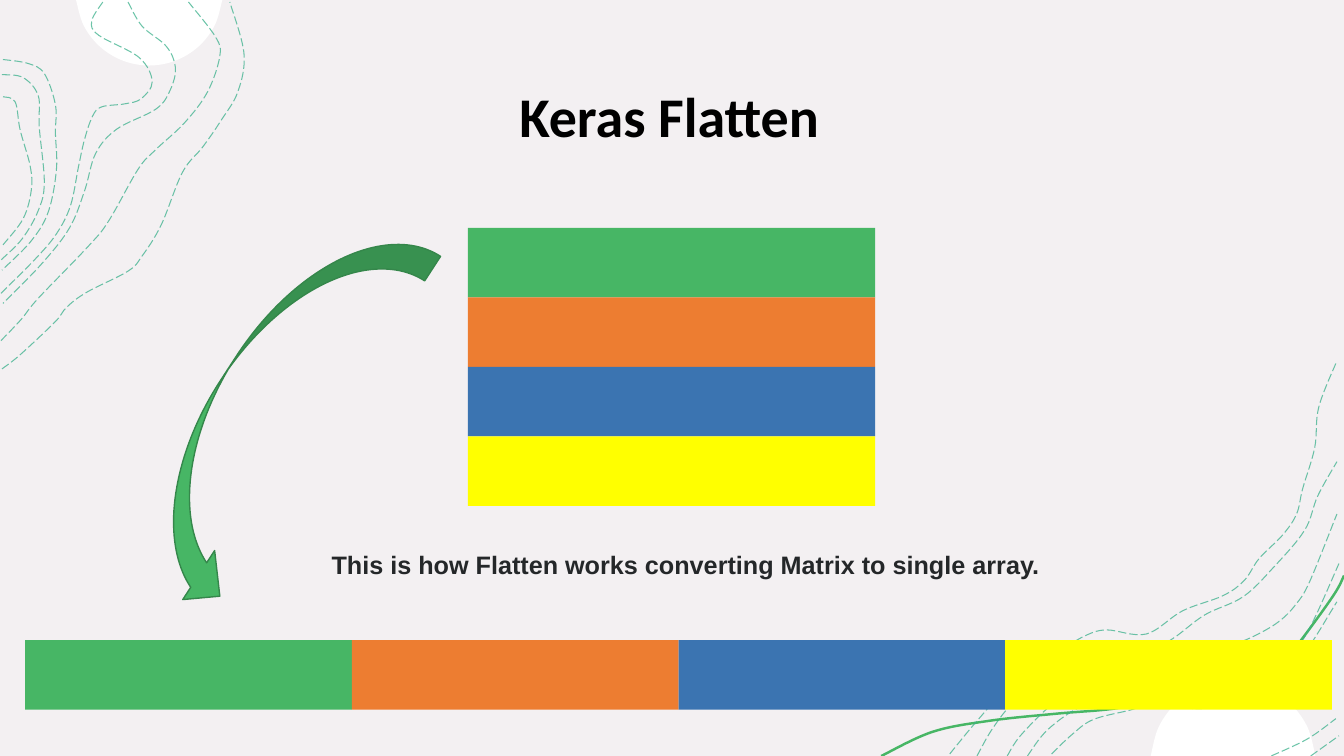
import math
from dataclasses import dataclass

from lxml import etree
from pptx import Presentation
from pptx import util as u
from pptx.dml.color import RGBColor
from pptx.enum import dml, shapes, text
from pptx.oxml.ns import qn

Point = tuple[float, float]
Outline = tuple[Point, ...]

COLORS = {
    "background": "F3F0F2",
    "white": "FFFFFF",
    "contour": "3BB18C",
    "green": "47B665",
    "orange": "ED7D31",
    "blue": "3B74B1",
    "yellow": "FFFF00",
    "arrow_edge": "35874B",
    "title": "000000",
    "caption": "242729",
}
ROWS = ("green", "orange", "blue", "yellow")
ROW_HEIGHT = 0.69
SLIDE_WIDTH, SLIDE_HEIGHT = 13.33, 7.5


@dataclass
class Disc:
    cx: float
    cy: float
    radius: float
    edge: float


@dataclass
class Strip:
    left: float
    top: float
    width: float
    dx: float
    dy: float


@dataclass
class Label:
    text: str
    left: float
    top: float
    width: float
    height: float
    font: str
    size: int
    color: str


DISCS = (Disc(1.48, -0.08, 0.73, 0), Disc(12.23, 7.57, 0.82, SLIDE_HEIGHT))
STRIPS = (
    Strip(4.64, 2.26, 4.04, 0, ROW_HEIGHT),
    Strip(0.25, 6.35, 3.24, 3.24, 0),
)
TITLE = Label("Keras Flatten", 5.05, 0.76, 3.63, 0.77, "Calibri", 40, "title")
CAPTION = Label("This is how Flatten works converting Matrix to single array.",
                3.19, 5.4, 7.45, 0.4, "Arial", 18, "caption")

RIBBON = (
    (8.74, 7.5), (9.25, 7.26), (9.82, 7.15), (10.48, 7.08), (11.05, 7.03), (11.44, 6.94),
    (11.91, 6.84), (12.44, 6.72), (12.72, 6.57), (12.92, 6.33), (13.23, 5.9), (13.33, 5.71),
)
TOP_LEFT_CONTOURS = (
    ((0.02, 3.66), (0.2, 3.52), (0.55, 3.19), (0.66, 3.05), (0.86, 2.9), (1.27, 2.69),
     (1.41, 2.54), (1.6, 2.23), (1.81, 1.71), (2.01, 1.46), (2.19, 1.2), (2.36, 0.91),
     (2.42, 0.53), (2.28, 0.02)),
    ((0.01, 3.38), (0.21, 3.17), (0.38, 2.96), (0.88, 2.44), (1.08, 2.19), (1.37, 1.68),
     (1.54, 1.49), (1.83, 1.22), (2.06, 0.91), (2.18, 0.56), (2.14, 0.37), (1.87, 0.02)),
    ((1.27, 0.02), (1.41, 0.26), (1.65, 0.46), (1.74, 0.67), (1.69, 0.89), (1.55, 1.08),
     (1.16, 1.28), (0.95, 1.52), (0.84, 1.89), (0.69, 2.26), (0.42, 2.61), (0.03, 3.01)),
    ((0.01, 2.91), (0.35, 2.57), (0.56, 2.32), (0.7, 2.04), (0.78, 1.65), (0.84, 1.38),
     (0.92, 1.15), (1.01, 1.06), (1.24, 1.03), (1.4, 0.98), (1.51, 0.81), (1.38, 0.57),
     (0.98, 0.35), (0.91, 0.21), (1.02, 0.02)),
    ((0.03, 0.59), (0.28, 0.63), (0.44, 0.73), (0.55, 1.04), (0.55, 1.32),
     (0.56, 1.68), (0.48, 2.1), (0.31, 2.39), (0.02, 2.68)),
    ((0.02, 0.74), (0.23, 0.77), (0.38, 0.95), (0.39, 1.26), (0.44, 1.81),
     (0.38, 2.09), (0.22, 2.37), (0.01, 2.58)),
    ((0.03, 0.96), (0.15, 1.01), (0.2, 1.29), (0.3, 1.65), (0.31, 1.89), (0.23, 2.17),
     (0.03, 2.43)),
)
BOTTOM_RIGHT_CONTOURS = (
    ((9.42, 7.48), (9.71, 7.13), (10.02, 6.8), (10.56, 6.43), (10.78, 6.3), (10.98, 6.25),
     (11.37, 6.29), (11.73, 6.06), (12.13, 5.91), (12.34, 5.76), (12.49, 5.54),
     (12.72, 5.31), (12.86, 5.1), (12.92, 4.85), (13.04, 4.44), (13.08, 4.04),
     (13.26, 3.58)),
    ((9.69, 7.5), (9.85, 7.22), (10.08, 6.94), (10.49, 6.62), (10.75, 6.45), (11.03, 6.38),
     (11.45, 6.41), (11.64, 6.33), (11.95, 6.1), (12.33, 5.92), (12.63, 5.63),
     (12.94, 5.26), (13.07, 4.92), (13.26, 4.58)),
    ((13, 7.5), (13.28, 7.3)),
    ((12.61, 7.5), (12.97, 7.33), (13.25, 7.13)),
    ((10.43, 7.48), (10.63, 7.29), (10.84, 7.14), (11.19, 7.05), (11.45, 6.99),
     (11.88, 7.03), (12.17, 6.97), (12.64, 6.69), (12.9, 6.53), (13.26, 5.97)),
    ((10.19, 7.5), (10.39, 7.24), (10.72, 7.01), (11.07, 6.92), (11.49, 6.85),
     (11.84, 6.8), (12.52, 6.6), (12.71, 6.53), (12.88, 6.4), (13.03, 6.15), (13.28, 5.59)),
    ((9.99, 7.5), (10.12, 7.3), (10.42, 7), (10.71, 6.8), (11, 6.75), (11.43, 6.7),
     (11.84, 6.58), (12.16, 6.43), (12.44, 6.31), (12.68, 6.17), (12.85, 6),
     (12.99, 5.77), (13.26, 5.1)),
)


def rgb(name: str) -> RGBColor:
    return RGBColor.from_string(COLORS[name])


def paint(sp, fill: str | None):
    sp.shadow.inherit = False
    sp.line.fill.background()
    if fill:
        sp.fill.solid()
        sp.fill.fore_color.rgb = rgb(fill)
    else:
        sp.fill.background()
    return sp


def bend_segments(sp) -> None:
    geometry = sp.element.spPr
    pts = [(int(pt.get("x")), int(pt.get("y"))) for pt in geometry.iter(qn("a:pt"))]
    pts = [pts[0], *pts, pts[-1]]
    segments = list(geometry.iter(qn("a:lnTo")))
    for segment, a, b, c, d in zip(segments, pts, pts[1:], pts[2:], pts[3:]):
        first = [q + (r - p) / 6 for p, q, r in zip(a, b, c)]
        second = [r - (s - q) / 6 for q, r, s in zip(b, c, d)]
        bezier = etree.Element(qn("a:cubicBezTo"))
        for x, y in (first, second, c):
            etree.SubElement(bezier, qn("a:pt"), x=str(round(x)), y=str(round(y)))
        segment.getparent().replace(segment, bezier)


def add_curve(tree, anchors: Outline, fill: str | None = None):
    emu = [(u.Inches(x), u.Inches(y)) for x, y in anchors]
    builder = tree.build_freeform(*emu[0])
    builder.add_line_segments(emu[1:], close=False)
    sp = paint(builder.convert_to_shape(), fill)
    bend_segments(sp)
    return sp


def disc_arc(disc: Disc, steps: int = 8) -> Outline:
    start = math.asin((disc.edge - disc.cy) / disc.radius)
    sweep = math.copysign(math.pi, start) - 2 * start
    angles = [start + sweep * i / steps for i in range(steps + 1)]
    return tuple((disc.cx + disc.radius * math.cos(a), disc.cy + disc.radius * math.sin(a))
                 for a in angles)


def add_contours(tree, contours: tuple[Outline, ...]) -> None:
    group = tree.add_group_shape()
    for anchors in contours:
        sp = add_curve(group.shapes, anchors)
        sp.line.color.rgb = rgb("contour")
        sp.line.width = u.Pt(0.75)
        sp.line.dash_style = dml.MSO_LINE.LONG_DASH
        for clr in sp.element.spPr.iter(qn("a:srgbClr")):
            etree.SubElement(clr, qn("a:alpha"), val="75000")


def add_strip(tree, strip: Strip) -> None:
    for i, color in enumerate(ROWS):
        paint(tree.add_shape(
            shapes.MSO_SHAPE.RECTANGLE,
            u.Inches(strip.left + i * strip.dx), u.Inches(strip.top + i * strip.dy),
            u.Inches(strip.width), u.Inches(ROW_HEIGHT)), color)


def write_label(sp, label: Label) -> None:
    sp.left, sp.top = u.Inches(label.left), u.Inches(label.top)
    sp.width, sp.height = u.Inches(label.width), u.Inches(label.height)
    tf = sp.text_frame
    tf.text = label.text
    tf.word_wrap = True
    tf.auto_size = text.MSO_AUTO_SIZE.SHAPE_TO_FIT_TEXT
    tf.vertical_anchor = text.MSO_ANCHOR.TOP
    p = tf.paragraphs[0]
    p.alignment = text.PP_ALIGN.LEFT
    font = p.runs[0].font
    font.name, font.size, font.bold = label.font, u.Pt(label.size), True
    font.color.rgb = rgb(label.color)


def main() -> None:
    prs = Presentation()
    prs.slide_width, prs.slide_height = u.Inches(SLIDE_WIDTH), u.Inches(SLIDE_HEIGHT)
    s = prs.slides.add_slide(prs.slide_layouts[5])
    s.background.fill.solid()
    s.background.fill.fore_color.rgb = rgb("background")
    for disc in DISCS:
        add_curve(s.shapes, disc_arc(disc), "white")
    ribbon = add_curve(s.shapes, RIBBON)
    ribbon.line.color.rgb = rgb("green")
    ribbon.line.width = u.Pt(1.75)
    for contours in (TOP_LEFT_CONTOURS, BOTTOM_RIGHT_CONTOURS):
        add_contours(s.shapes, contours)
    for strip in STRIPS:
        add_strip(s.shapes, strip)
    write_label(s.shapes.add_textbox(0, 0, 0, 0), CAPTION)
    write_label(s.shapes.title, TITLE)
    arrow = paint(s.shapes.add_shape(
        shapes.MSO_SHAPE.CURVED_RIGHT_ARROW,
        u.Inches(2.13), u.Inches(1.88), u.Inches(1.16), u.Inches(4.31)), "green")
    arrow.rotation = 33
    arrow.line.color.rgb = rgb("arrow_edge")
    arrow.line.width = u.Pt(1)
    prs.save("out.pptx")


if __name__ == "__main__":
    main()
